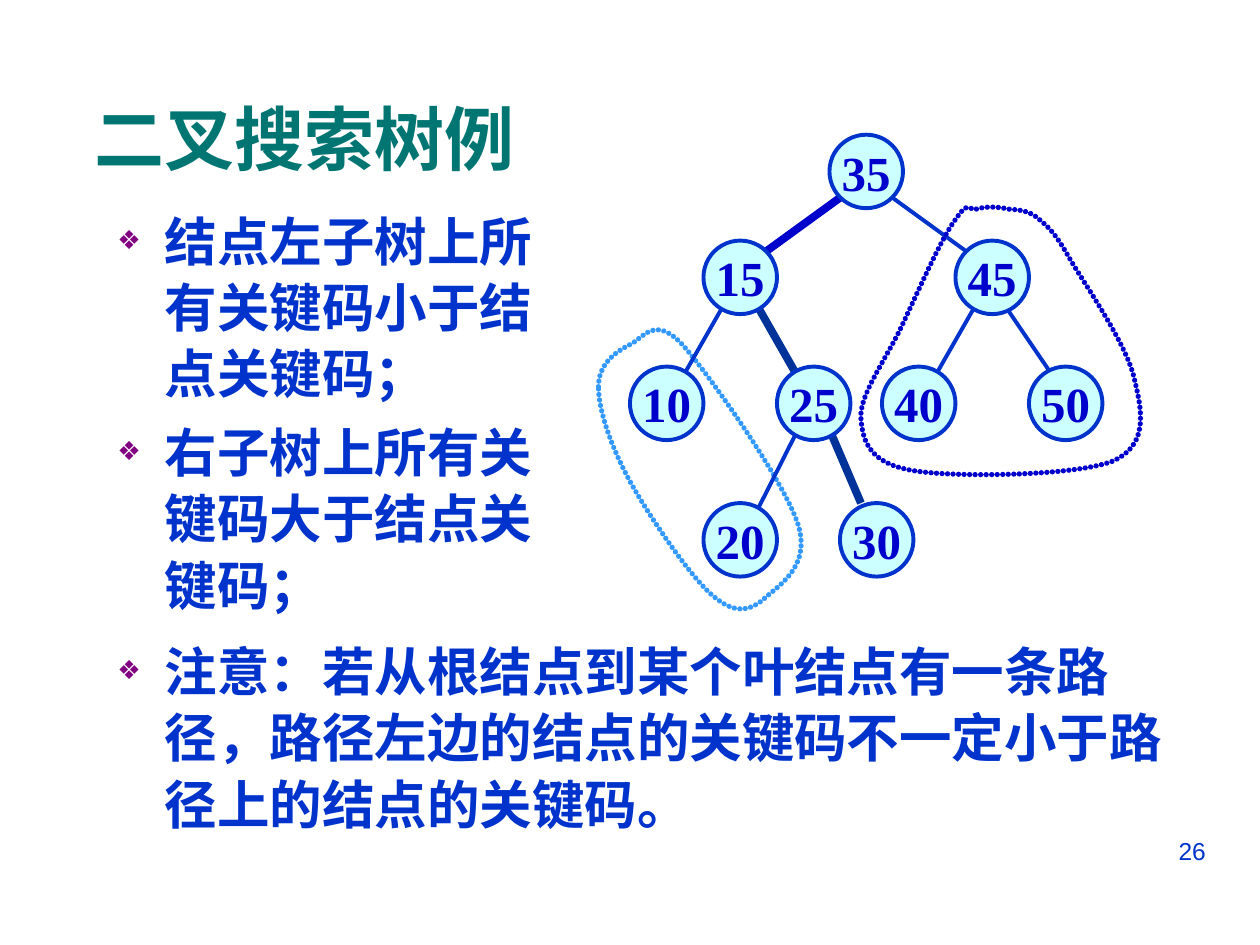
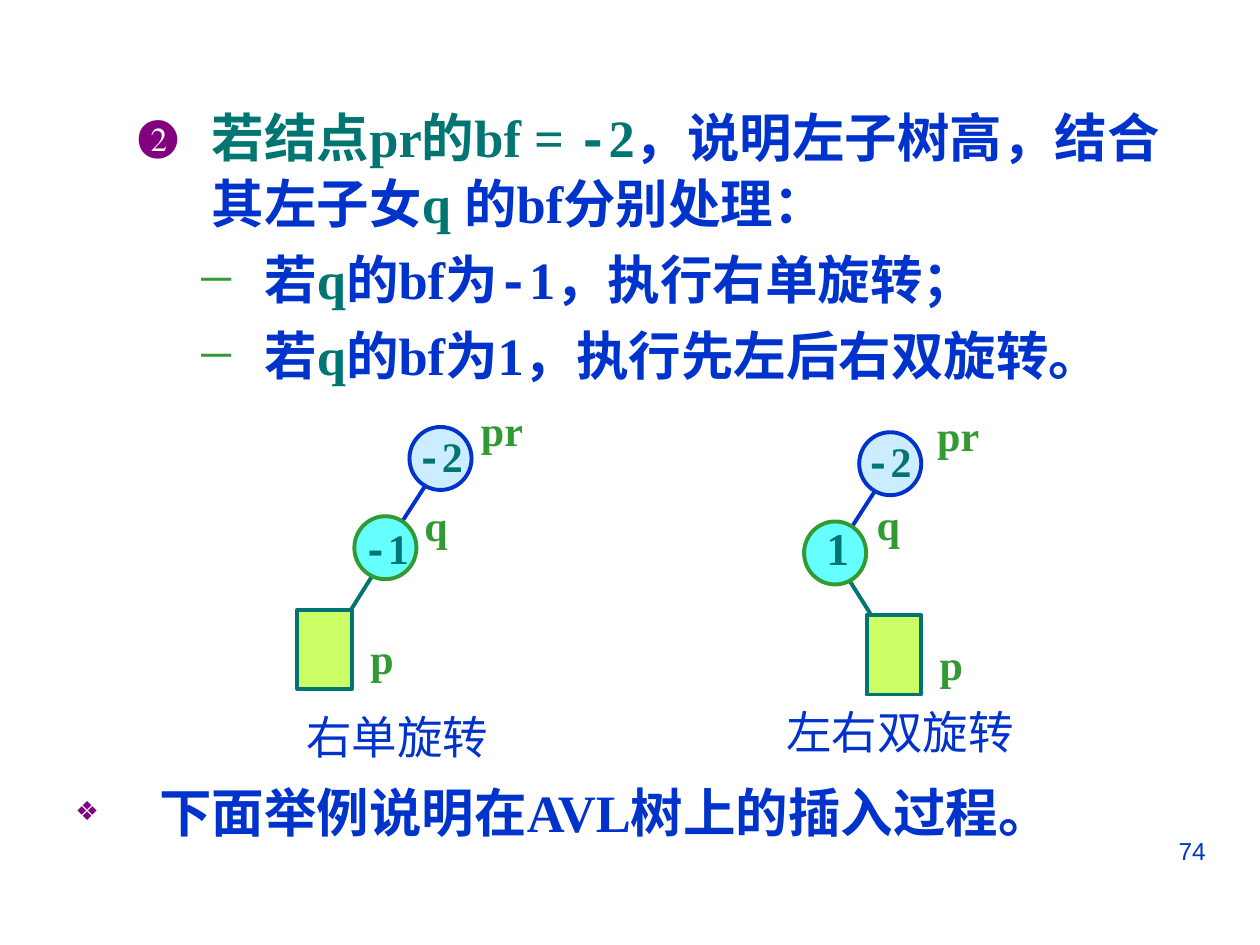
"""Builds two slides on binary search trees and AVL rotations."""
import pptx
import pptx.dml.color
import pptx.enum.lang
import pptx.enum.shapes
import pptx.enum.text
import pptx.oxml
import pptx.oxml.ns
import pptx.util

Pt = pptx.util.Pt
qn = pptx.oxml.ns.qn
SHAPE = pptx.enum.shapes.MSO_SHAPE
ALIGN = pptx.enum.text.PP_ALIGN
ANCHOR = pptx.enum.text.MSO_ANCHOR
FIT = pptx.enum.text.MSO_AUTO_SIZE
BLUE, NAVY, DEEP, TEAL, GREEN, PURPLE = "0033CC", "0000CC", "003399", "007572", "339933", "800080"
SERIF, SANS, MONO = "Times New Roman", "Arial", "Courier New"

DIAMOND = {"char": "❖", "color": PURPLE, "size": 50, "font": SANS}
DIGIT = {"char": "❷", "color": PURPLE, "size": 85, "font": SERIF}
DASH = {"char": "─", "color": GREEN, "size": 80, "font": SERIF}

TITLE = "二叉搜索树例"
RULES = ["结点左子树上所有关键码小于结点关键码；", "右子树上所有关键码大于结点关键码；"]
NOTE = "注意：若从根结点到某个叶结点有一条路径，路径左边的结点的关键码不一定小于路径上的结点的关键码。"
NODE_SIZE = 42
KEYS = {"35": (474, 77), "15": (402, 137.5), "45": (546, 137.5), "50": (588, 209.5), "40": (504, 209.5),
        "25": (444, 209.5), "10": (360, 209.5), "20": (402, 287.5), "30": (480, 287.5)}
EDGES = [(558, 173.5, 534, 215.5, BLUE, 2.25), (474, 245.5, 492, 287.5, DEEP, 4.5),
         (456, 245.5, 432, 293, BLUE, 2.25), (414, 173.5, 390, 215.5, BLUE, 2.25),
         (432, 173.5, 456, 215.5, DEEP, 4.5), (480, 113, 438, 143.5, NAVY, 4.5),
         (510, 113, 552, 143.5, BLUE, 2.25), (575.5, 176.5, 600, 212.5, BLUE, 2.25)]
LEFT_LOOP = [(342, 221), (342, 208), (352, 201), (360, 197), (368, 193), (374, 180), (390, 197),
             (406, 215), (448, 275), (456, 299.5), (463.5, 323), (446, 334), (438, 341),
             (430, 348.5), (421, 352), (408, 341), (395, 330.5), (371, 295), (360, 275),
             (349, 255), (342, 234), (342, 221)]
RIGHT_LOOP = [(558, 119.5), (563, 118), (570, 118), (576, 119.5), (582, 120), (588, 120), (594, 125.5),
              (600, 130.5), (603.5, 134), (612, 149), (621, 164), (643.5, 196.5), (648, 215.5),
              (652.5, 234), (657, 254), (636, 263.5), (615, 272), (546, 273), (522, 269),
              (498, 265), (493, 253.5), (492, 239), (491, 225.5), (507, 204.5), (516, 185),
              (525, 166), (538, 136), (546, 125.5), (553.5, 114.5), (553, 120), (558, 119.5)]

CASES = [
    (DIGIT, 78, -42, 1.05, [("若结点pr的bf = ", TEAL, SERIF), ("-", TEAL, MONO), ("2", TEAL, SERIF),
                            ("，说明左子树高，结合其左子女", BLUE, SERIF), ("q ", TEAL, SERIF),
                            ("的bf分别处理：", BLUE, SERIF)]),
    (DASH, 108, -36, 1, [("若", BLUE, SERIF), ("q", TEAL, SERIF), ("的bf为", BLUE, SERIF),
                         ("-", BLUE, MONO), ("1，执行右单旋转；", BLUE, SERIF)]),
    (DASH, 108, -36, 1, [("若", BLUE, SERIF), ("q", TEAL, SERIF),
                         ("的bf为1，执行先左后右双旋转。", BLUE, SERIF)]),
]
CLOSING = "下面举例说明在AVL树上的插入过程。"
MINUS = ("-", TEAL, MONO)
ROTATIONS = [
    {"origin": (234, 244), "box": (-64, 104.4), "edge": (-15.8, 76.4, -42.5, 118.9),
     "labels": [(-3, -1.4, 40.9, 24, [MINUS, ("2", TEAL, SERIF)]),
                (-33.8, 51.2, 40.9, 24, [MINUS, ("1", TEAL, SERIF)]),
                (33.8, -16.5, 38.5, 24, [("pr", GREEN, SERIF)]),
                (1.4, 38.2, 27.8, 24, [("q", GREEN, SERIF)]),
                (-29.5, 113.8, 27.8, 24, [("p", GREEN, SERIF)])],
     "caption": (-66.2, 157.8, 118.5, "右单旋转")},
    {"origin": (491, 247), "box": (4.3, 104.4), "edge": (-10.8, 76.4, 15.9, 118.9),
     "labels": [(-3.6, -1.5, 40.9, 24, [MINUS, ("2", TEAL, SERIF)]),
                (-25.9, 46.8, 27.5, 26, [("1", TEAL, SERIF)]),
                (37.5, -16.6, 38.5, 24, [("pr", GREEN, SERIF)]),
                (2.9, 34.5, 27.8, 24, [("q", GREEN, SERIF)]),
                (38.9, 114.4, 27.8, 24, [("p", GREEN, SERIF)])],
     "caption": (-48.9, 151.9, 145, "左右双旋转")},
]


def rgb(value):
    return pptx.dml.color.RGBColor.from_string(value)


def pts(*values):
    return [Pt(v) for v in values]


def element(xml):
    head, rest = xml.split(" ", 1)
    return pptx.oxml.parse_xml(f'{head} {pptx.oxml.ns.nsdecls("a")} {rest}')


def write(p, runs, size, bold=True):
    for text, color, font in runs:
        r = p.add_run()
        r.text = text
        fmt = {"name": font, "size": Pt(size), "bold": bold,
               "language_id": pptx.enum.lang.MSO_LANGUAGE_ID.SIMPLIFIED_CHINESE}
        for key, value in fmt.items():
            setattr(r.font, key, value)
        r.font.color.rgb = rgb(color)


def set_bullet(p, bullet, left, indent):
    pPr = p._p.get_or_add_pPr()
    for key, value in {"marL": Pt(left), "indent": Pt(indent), "hangingPunct": 0}.items():
        pPr.set(key, str(value))
    for xml in (f'<a:buClr ><a:srgbClr val="{bullet["color"]}"/></a:buClr>',
                f'<a:buSzPct val="{bullet["size"] * 1000}"/>',
                f'<a:buFont typeface="{bullet["font"]}"/>',
                f'<a:buChar char="{bullet["char"]}"/>'):
        pPr.append(element(xml))


def add_text(s, at, runs=(), size=30, bold=True, align=ALIGN.LEFT, anchor=ANCHOR.TOP, wrap=True):
    tf = s.shapes.add_textbox(*pts(*at)).text_frame
    fit = FIT.NONE if wrap else FIT.SHAPE_TO_FIT_TEXT
    for key, value in {"word_wrap": wrap, "vertical_anchor": anchor, "auto_size": fit}.items():
        setattr(tf, key, value)
    tf.paragraphs[0].alignment = align
    write(tf.paragraphs[0], runs, size, bold)
    return tf


def add_bullets(s, at, items):
    tf = add_text(s, at)
    for i, (bullet, left, indent, spacing, runs) in enumerate(items):
        p = tf.add_paragraph() if i else tf.paragraphs[0]
        set_bullet(p, bullet, left, indent)
        p.line_spacing = spacing
        if i:
            p.space_before = Pt(7.5)
        write(p, runs, 30)


def add_line(s, x1, y1, x2, y2, color, width=2.25):
    sp = s.shapes.add_connector(pptx.enum.shapes.MSO_CONNECTOR.STRAIGHT, *pts(x1, y1, x2, y2))
    sp.line.color.rgb = rgb(color)
    sp.line.width = Pt(width)
    sp._element.spPr.append(element("<a:effectLst />"))


def add_figure(s, kind, at, fill, line):
    sp = s.shapes.add_shape(kind, *pts(*at))
    sp.shadow.inherit = False
    sp.fill.solid()
    sp.fill.fore_color.rgb = rgb(fill)
    sp.line.color.rgb = rgb(line)
    sp.line.width = Pt(2.25)
    return sp


def bend(sp):
    segments = list(sp._element.iter(qn("a:lnTo")))
    for i in range(0, len(segments), 3):
        curve = element("<a:cubicBezTo />")
        segments[i].addprevious(curve)
        for segment in segments[i:i + 3]:
            curve.append(segment[0])
            segment.getparent().remove(segment)


def add_loop(s, loop, color):
    builder = s.shapes.build_freeform(*pts(*loop[0]))
    builder.add_line_segments([pts(*point) for point in loop[1:]], close=True)
    sp = builder.convert_to_shape()
    bend(sp)
    sp.shadow.inherit = False
    sp.fill.background()
    sp.line.color.rgb = rgb(color)
    sp.line.width = Pt(3)
    ln = sp._element.spPr.find(qn("a:ln"))
    ln.set("cap", "rnd")
    ln.append(element('<a:custDash ><a:ds d="100000" sp="5000"/></a:custDash>'))


def add_slide(prs, number):
    s = prs.slides.add_slide(prs.slide_layouts[6])
    add_text(s, (516.2, 474, 180, 37), [(number, BLUE, SANS)], 14, False, ALIGN.RIGHT)
    return s


def search_tree_slide(prs):
    s = add_slide(prs, "26")
    add_loop(s, LEFT_LOOP, "3399FF")
    for edge in EDGES:
        add_line(s, *edge)
    for key, (x, y) in KEYS.items():
        sp = add_figure(s, SHAPE.OVAL, (x, y, NODE_SIZE, NODE_SIZE), "CCFFFF", BLUE)
        sp.text_frame.word_wrap = False
        sp.text_frame.vertical_anchor = ANCHOR.MIDDLE
        p = sp.text_frame.paragraphs[0]
        p.alignment = ALIGN.CENTER
        write(p, [(key, NAVY, SERIF)], 28)
    add_loop(s, RIGHT_LOOP, NAVY)
    add_text(s, (11, 51.7, 326, 54), [(TITLE, TEAL, SANS)], 40, True, ALIGN.CENTER, ANCHOR.MIDDLE)
    for at, texts in (((60, 114, 266, 258), RULES), ((60, 360, 624, 126), [NOTE])):
        add_bullets(s, at, [(DIAMOND, 27, -27, 1.05, [(text, BLUE, SANS)]) for text in texts])


def rotation_slide(prs):
    s = add_slide(prs, "74")
    add_bullets(s, (36, 54.5, 648, 170), CASES)
    add_bullets(s, (36, 442.5, 648, 45), [(DIAMOND, 48, -48, 1, [(CLOSING, BLUE, SERIF)])])
    for rotation in ROTATIONS:
        x, y = rotation["origin"]
        x1, y1, x2, y2 = rotation["edge"]
        add_line(s, x + x1, y + y1, x + x2, y + y2, TEAL)
        add_line(s, x + 14.4, y + 25.2, x - 13, y + 67.7, BLUE)
        add_figure(s, SHAPE.OVAL, (x, y, 35.5, 36), "CCECFF", BLUE)
        add_figure(s, SHAPE.OVAL, (x - 31.5, y + 51, 35.5, 36), "66FFFF", GREEN)
        dx, dy = rotation["box"]
        add_figure(s, SHAPE.RECTANGLE, (x + dx, y + dy, 31, 45.5), "CCFF66", TEAL)
        for dx, dy, width, size, runs in rotation["labels"]:
            add_text(s, (x + dx, y + dy, width, size * 1.5), runs, size, wrap=False)
        dx, dy, width, caption = rotation["caption"]
        add_text(s, (x + dx, y + dy, width, 39), [(caption, BLUE, SANS)], 26, False, wrap=False)


def main():
    prs = pptx.Presentation()
    prs.slide_width, prs.slide_height = pts(720, 540)
    search_tree_slide(prs)
    rotation_slide(prs)
    prs.save("out.pptx")


if __name__ == "__main__":
    main()
